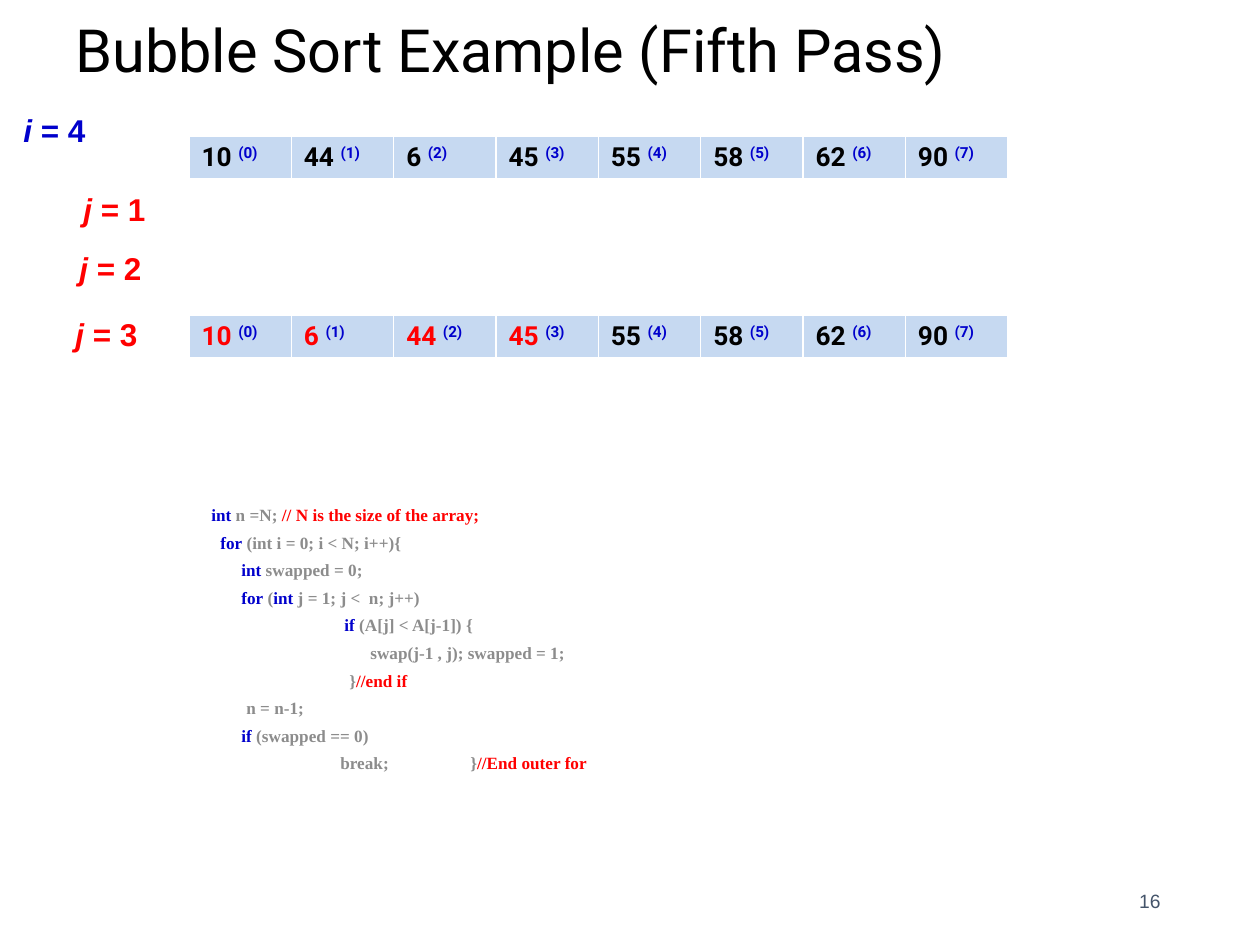
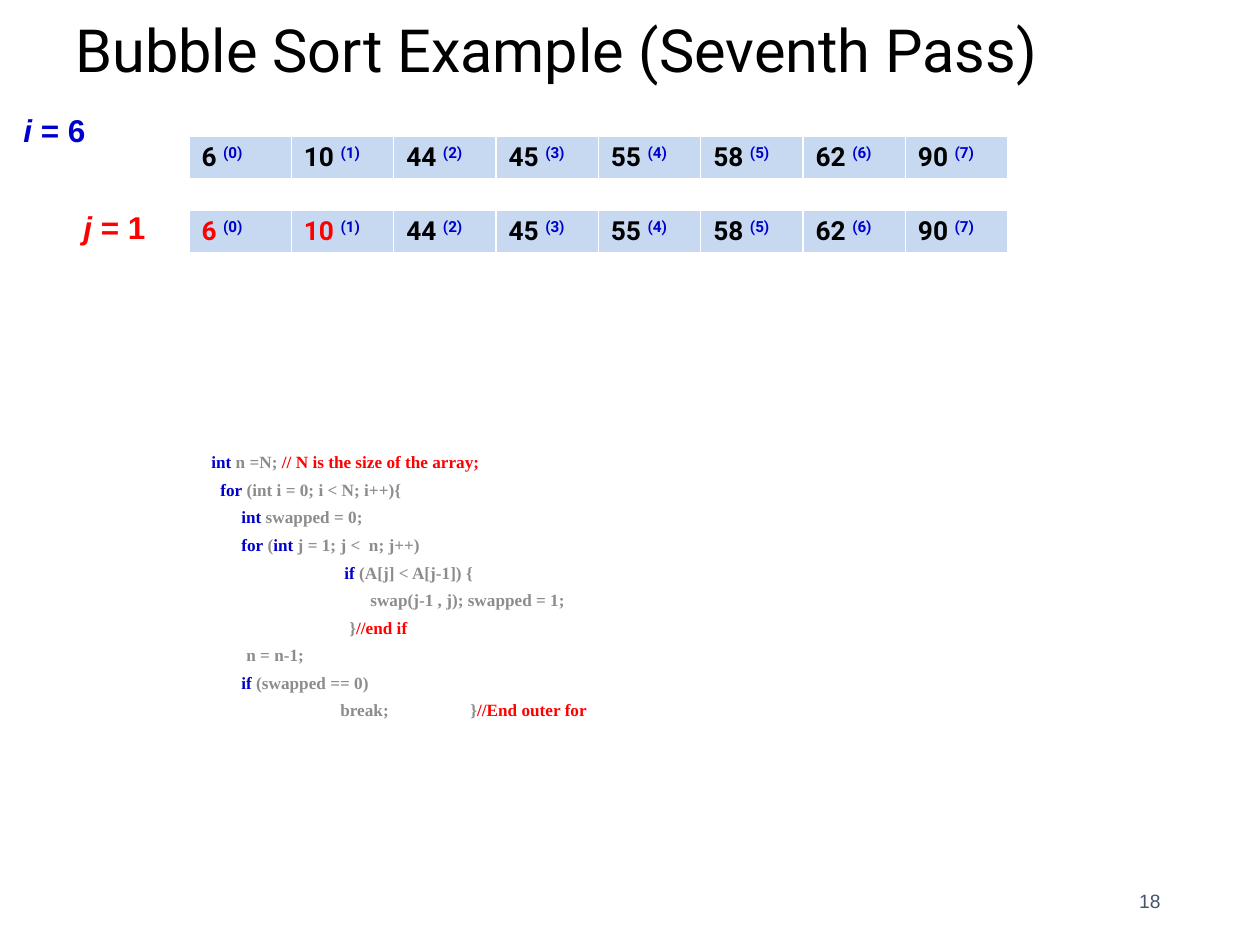
"""Build two bubble sort pass slides with arrays, step labels and code."""
from dataclasses import dataclass

from lxml import etree
from pptx import Presentation
from pptx.dml.color import RGBColor
from pptx.enum.text import MSO_ANCHOR, MSO_AUTO_SIZE, PP_ALIGN
from pptx.oxml.ns import qn
from pptx.util import Pt

TOP, MIDDLE, BOTTOM = MSO_ANCHOR.TOP, MSO_ANCHOR.MIDDLE, MSO_ANCHOR.BOTTOM
LEFT, RIGHT = PP_ALIGN.LEFT, PP_ALIGN.RIGHT
GROW, FIXED = MSO_AUTO_SIZE.SHAPE_TO_FIT_TEXT, MSO_AUTO_SIZE.NONE
SCALE = 914400 / 126


def px(count):
    return round(count * SCALE)


@dataclass(frozen=True)
class Theme:
    ink: str = "000000"
    blue: str = "0000CC"
    red: str = "FF0000"
    grey: str = "8C8C8C"
    slate: str = "44546A"
    cell: str = "C6D9F1"
    edge: str = "FFFFFF"
    head: str = "Roboto"
    sans: str = "Arial"
    serif: str = "Times New Roman"
    title: float = 34
    label: float = 18
    value: float = 15
    code: float = 9.8
    foot: float = 11


THEME = Theme()
BLUE, RED, GREY = THEME.blue, THEME.red, THEME.grey

CODE = [
    (0, 0, [("int", BLUE), (" n =N; ", GREY), ("// N is the size of the array;", RED)]),
    (9, 0, [("for", BLUE), (" (int i = 0; i < N; i++){", GREY)]),
    (30, 0, [("int", BLUE), (" swapped = 0;", GREY)]),
    (30, 0, [("for", BLUE), (" (", GREY), ("int", BLUE), (" j = 1; j <  n; j++)", GREY)]),
    (133, 0, [("if", BLUE), (" (A[j] < A[j-1]) {", GREY)]),
    (159, 0, [("swap(j-1 , j); swapped = 1;", GREY)]),
    (138, 0, [("}", GREY), ("//end if", RED)]),
    (35, 0, [("n = n-1;", GREY)]),
    (30, 0, [("if ", BLUE), ("(swapped == 0)", GREY)]),
    (259, -130, [("break;\t}", GREY), ("//End outer for", RED)]),
]

PASSES = [
    dict(name="Fifth", num=16, i=4, code=504,
         steps=[(1, 71, 184), (2, 67, 243), (3, 63, 309)],
         start=[10, 44, 6, 45, 55, 58, 62, 90],
         after=[10, 6, 44, 45, 55, 58, 62, 90], top=315, done=4),
    dict(name="Seventh", num=18, i=6, code=451,
         steps=[(1, 71, 202)],
         start=[6, 10, 44, 45, 55, 58, 62, 90],
         after=[6, 10, 44, 45, 55, 58, 62, 90], top=210, done=2),
]


class Deck:
    def __init__(self, theme):
        self.theme = theme
        self.file = Presentation()
        self.file.slide_width, self.file.slide_height = px(1260), px(945)
        self.slide = None

    def page(self):
        self.slide = self.file.slides.add_slide(self.file.slide_layouts[6])

    def run(self, para, text, face, size, color, bold=False, slant=False):
        run = para.add_run()
        run.text = text
        font = run.font
        font.name, font.size = face, Pt(size)
        font.bold, font.italic = bold, slant
        font.color.rgb = RGBColor.from_string(color)
        return run

    def box(self, x, y, w, h, anchor=TOP, wrap=True):
        frame = self.slide.shapes.add_textbox(px(x), px(y), px(w), px(h)).text_frame
        frame.word_wrap = wrap
        frame.auto_size = FIXED if wrap else GROW
        frame.vertical_anchor = anchor
        return frame

    def title(self, text):
        para = self.box(63, 0, 998, 92, BOTTOM).paragraphs[0]
        para.line_spacing = 0.9
        self.run(para, text, self.theme.head, self.theme.title, self.theme.ink)

    def label(self, name, value, x, y, color):
        para = self.box(x, y, 88, 50, wrap=False).paragraphs[0]
        style = self.theme.sans, self.theme.label, color, True
        self.run(para, name, *style, slant=True)
        self.run(para, f" = {value}", *style)

    def code(self, lines, y):
        frame = self.box(199, y, 630, 315)
        for n, (left, hang, parts) in enumerate(lines):
            para = frame.add_paragraph() if n else frame.paragraphs[0]
            para.line_spacing, para.space_before = 0.7, Pt(7.5)
            props = para._p.get_or_add_pPr()
            props.set("marL", str(px(left)))
            props.set("indent", str(px(hang)))
            for text, color in parts:
                self.run(para, text, self.theme.serif, self.theme.code, color, True)

    def edges(self, cell):
        props = cell._tc.get_or_add_tcPr()
        for side, width in (("L", 1), ("R", 1), ("T", 1), ("B", 3)):
            line = etree.SubElement(props, qn(f"a:ln{side}"), w=str(Pt(width)))
            fill = etree.SubElement(line, qn("a:solidFill"))
            etree.SubElement(fill, qn("a:srgbClr"), val=self.theme.edge)

    def array(self, values, y, done=0):
        look = self.theme
        grid = self.slide.shapes.add_table(
            1, len(values), px(189), px(y), px(819), px(44)).table
        grid.first_row = grid.horz_banding = False
        for n, value in enumerate(values):
            cell = grid.cell(0, n)
            self.edges(cell)
            cell.fill.solid()
            cell.fill.fore_color.rgb = RGBColor.from_string(look.cell)
            para = cell.text_frame.paragraphs[0]
            color = look.red if n < done else look.ink
            self.run(para, f"{value} ", look.head, look.value, color, True)
            index = self.run(para, f"({n})", look.head, look.value, look.blue, True)
            index._r.get_or_add_rPr().set("baseline", "30000")

    def foot(self, num):
        para = self.box(890, 876, 283, 50, MIDDLE).paragraphs[0]
        para.alignment = RIGHT
        self.run(para, str(num), self.theme.sans, self.theme.foot, self.theme.slate)


def main():
    deck = Deck(THEME)
    for item in PASSES:
        deck.page()
        deck.title(f"Bubble Sort Example ({item['name']} Pass)")
        deck.label("i", item["i"], 11, 105, BLUE)
        for j, x, y in item["steps"]:
            deck.label("j", j, x, y, RED)
        deck.code(CODE, item["code"])
        deck.array(item["after"], item["top"], item["done"])
        deck.array(item["start"], 136)
        deck.foot(item["num"])
    deck.file.save("out.pptx")


if __name__ == "__main__":
    main()
